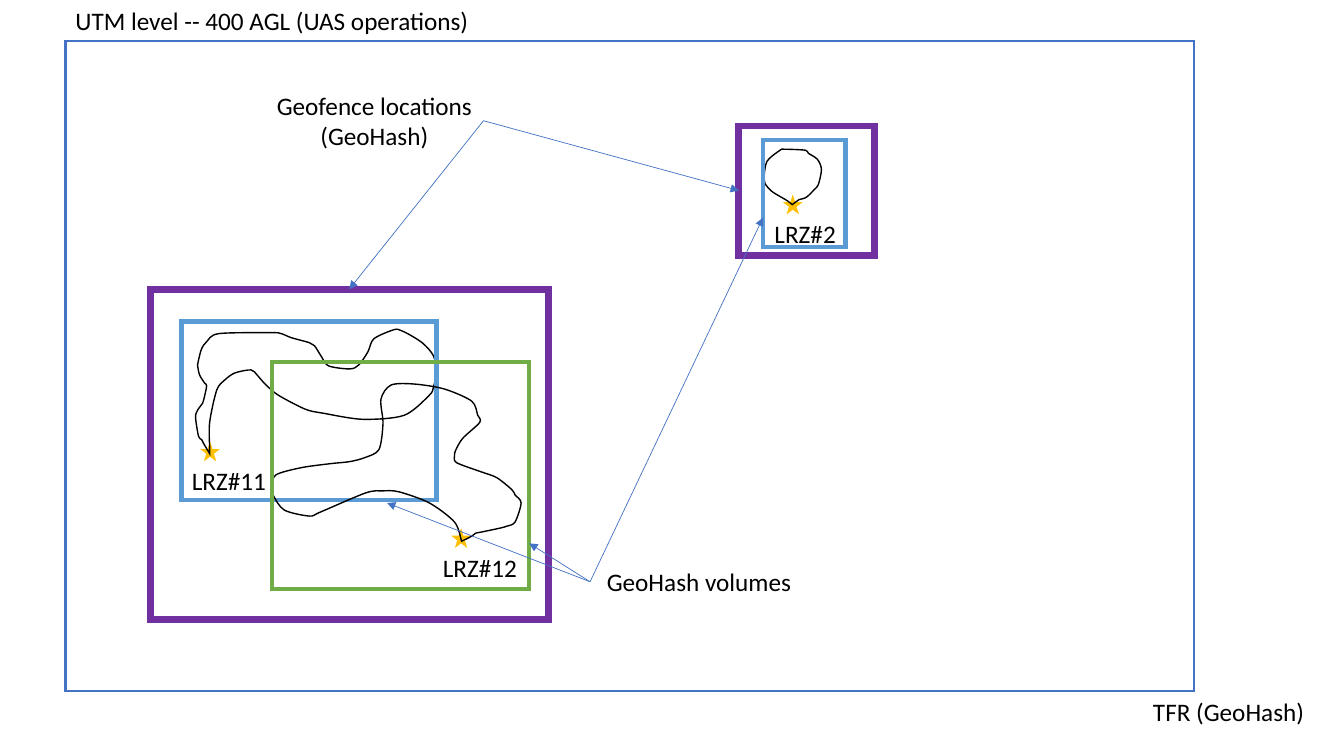
from collections import namedtuple
from dataclasses import dataclass

from lxml.etree import SubElement
from pptx import Presentation
from pptx.dml.color import RGBColor
from pptx.enum.shapes import MSO_CONNECTOR as Connector, MSO_SHAPE as Preset
from pptx.enum.text import MSO_AUTO_SIZE as AutoSize, PP_ALIGN as Align
from pptx.oxml.ns import qn
from pptx.util import Pt

Box = namedtuple("Box", "left top width height")
TOP, LEFT, RIGHT = 0, 1, 3


@dataclass(frozen=True)
class Theme:
    font: str = "Calibri"
    size: float = 18
    line_height: float = 29.1
    text: str = "000000"
    airspace: str = "4472C4"
    fence: str = "7030A0"
    blue: str = "5B9BD5"
    green: str = "70AD47"
    star: str = "FFC000"
    star_edge: str = "FFFFFF"
    route: str = "000000"
    star_size: float = 19.4
    route_unit: float = 0.72  # points per step of a flight route


THEME = Theme()

# Flight routes, in steps from the top left corner of their volume
ROUTE_11 = [
    (28, 126), (28, 100), (35, 68), (43, 58), (53, 51), (69, 48), (75, 53),
    (83, 62), (96, 73), (123, 87), (141, 91), (180, 97), (221, 93), (246, 73),
    (250, 65), (253, 50), (250, 34), (240, 22), (228, 14), (218, 9), (211, 8),
    (191, 17), (185, 30), (176, 43), (167, 47), (146, 44), (139, 35),
    (132, 24), (127, 21), (109, 16), (99, 12), (89, 11), (37, 12), (25, 20),
    (20, 27), (17, 38), (16, 43), (18, 53), (23, 61), (25, 64), (22, 78),
    (21, 81), (16, 88), (14, 95), (17, 114), (20, 117), (22, 121), (28, 131)]
ROUTE_12 = [
    (188, 178), (181, 159), (156, 140), (126, 129), (110, 128), (93, 130),
    (48, 149), (37, 153), (12, 147), (1, 132), (0, 123), (4, 112), (29, 105),
    (58, 101), (77, 99), (92, 95), (106, 87), (110, 61), (108, 37), (118, 23),
    (141, 22), (171, 27), (198, 39), (204, 53), (206, 60), (189, 76),
    (182, 88), (181, 93), (183, 100), (207, 109), (223, 115), (238, 127),
    (241, 132), (247, 140), (241, 159), (233, 163), (226, 165), (207, 169),
    (202, 170), (198, 173), (188, 178)]
ROUTE_2 = [
    (29, 64), (24, 60), (9, 51), (2, 43), (1, 38), (4, 21), (17, 10), (21, 9),
    (42, 10), (45, 13), (54, 19), (58, 29), (55, 44), (51, 49), (44, 56),
    (40, 58), (36, 59), (29, 64)]


def style(shape, line, weight, fill=None):
    shape.shadow.inherit = False
    if fill:
        shape.fill.solid()
        shape.fill.fore_color.rgb = RGBColor.from_string(fill)
    else:
        shape.fill.background()
    shape.line.color.rgb = RGBColor.from_string(line)
    shape.line.width = Pt(weight)
    SubElement(shape.line._get_or_add_ln(), qn("a:miter"), lim="800000")
    return shape


def add_preset(page, preset, box, *look):
    return style(page.shapes.add_shape(preset, *map(Pt, box)), *look)


def add_label(page, box, *lines, align=Align.LEFT, wrap=False):
    label = page.shapes.add_textbox(*map(Pt, box))
    frame = label.text_frame
    frame.word_wrap = wrap
    frame.auto_size = AutoSize.SHAPE_TO_FIT_TEXT
    face = {"name": THEME.font, "size": Pt(THEME.size)}
    for index, line in enumerate(lines):
        para = frame.add_paragraph() if index else frame.paragraphs[0]
        para.alignment = align
        span = para.add_run()
        span.text = line
        span.font.color.rgb = RGBColor.from_string(THEME.text)
        for key, value in face.items():
            setattr(span.font, key, value)
    return label


def curve_outline(shape, pull=0.14):
    """Turn the straight segments of a freeform into Bezier curves."""
    vertices = list(shape._element.iter(qn("a:pt")))
    points = [(int(v.get("x")), int(v.get("y"))) for v in vertices]
    padded = [points[0], *points, points[-1]]
    for index, vertex in enumerate(vertices[1:], 1):
        before, start, end, after = padded[index - 1:index + 3]
        leaving = [s + pull * (e - b) for b, s, e in zip(before, start, end)]
        arriving = [e - pull * (a - s) for s, e, a in zip(start, end, after)]
        segment = vertex.getparent()
        curve = segment.makeelement(qn("a:cubicBezTo"))
        for x, y in (leaving, arriving, end):
            SubElement(curve, qn("a:pt"), x=str(round(x)), y=str(round(y)))
        segment.getparent().replace(segment, curve)


def add_route(page, box, steps):
    points = [(Pt(box.left + x * THEME.route_unit), Pt(box.top + y * THEME.route_unit))
              for x, y in steps]
    builder = page.shapes.build_freeform(*points[0])
    builder.add_line_segments(points[1:], close=True)
    route = style(builder.convert_to_shape(), THEME.route, 1)
    curve_outline(route)


def add_mission(page, box, color, name, star_offset, route, label_width):
    """A GeoHash volume with its landing zone and flight route."""
    left, top = box.left + star_offset[0], box.top + star_offset[1]
    star = Box(left, top, THEME.star_size, THEME.star_size)
    add_preset(page, Preset.STAR_5_POINT, star, THEME.star_edge, 1.5, THEME.star)
    add_label(page, Box(left - 10.5, top + 16.2, label_width, THEME.line_height), name)
    add_route(page, box, route)
    add_preset(page, Preset.RECTANGLE, box, color, 3)


def add_arrow(page, source, side, end, target=None, target_side=None):
    arrow = page.shapes.add_connector(Connector.STRAIGHT, 0, 0, *map(Pt, end))
    arrow.begin_connect(source, side)
    if target is not None:
        arrow.end_connect(target, target_side)
    arrow.line.color.rgb = RGBColor.from_string(THEME.airspace)
    arrow.line.width = Pt(0.5)
    SubElement(arrow.line._get_or_add_ln(), qn("a:tailEnd"), type="triangle")
    SubElement(arrow._element.spPr, qn("a:effectLst"))


def add_airspace(page, box):
    def inside(left, top, width, height=THEME.line_height):
        return Box(box.left + left, box.top + top, width, height)

    # Airspace and geofences
    add_preset(page, Preset.RECTANGLE, box, THEME.airspace, 1.5)
    big_fence, small_fence = [
        add_preset(page, Preset.RECTANGLE, inside(*place), THEME.fence, 5)
        for place in ((60.5, 177.1, 284.4, 236.2), (481, 60.5, 97.2, 92.2))]

    # Volumes, landing zones and routes
    volume_11 = inside(82.8, 200.2, 182.2, 127.4)
    volume_12 = inside(147.6, 229, 183.6, 162)
    volume_2 = inside(498.2, 70.6, 59, 76.3)
    add_mission(page, volume_11, THEME.blue, "LRZ#11", (10.8, 82.8), ROUTE_11, 68.4)
    add_mission(page, volume_12, THEME.green, "LRZ#12", (125.3, 115.9), ROUTE_12, 68.4)
    add_mission(page, volume_2, THEME.blue, "LRZ#2", (11.6, 36), ROUTE_2, 59)

    # Captions
    add_label(page, inside(0, -THEME.line_height, 298.8),
              "UTM level -- 400 AGL (UAS operations)")
    add_label(page, inside(769.7, box.height, 123.8), "TFR (GeoHash)")
    fences = add_label(page, inside(142.6, 31.3, 156, 50.9), "Geofence locations",
                       "(GeoHash)", align=Align.CENTER, wrap=True)
    volumes = add_label(page, inside(374.7, 371.5, 155.5), "GeoHash volumes",
                        align=Align.CENTER, wrap=True)

    # Arrows from the captions
    add_arrow(page, fences, RIGHT, (0, 0), small_fence, LEFT)
    add_arrow(page, fences, RIGHT, (0, 0), big_fence, TOP)
    for end in ((volume_12.left + volume_12.width, volume_12.top + 129.6),
                (volume_11.left + 146.9, volume_11.top + 129.6),
                (volume_2.left, volume_2.top + 55.4)):
        add_arrow(page, volumes, LEFT, end)


def main():
    deck = Presentation()
    deck.slide_width, deck.slide_height = Pt(960), Pt(540)
    page = deck.slides.add_slide(deck.slide_layouts[6])
    add_airspace(page, Box(46.8, 29.5, 806.4, 464.4))
    deck.save("out.pptx")


if __name__ == "__main__":
    main()
